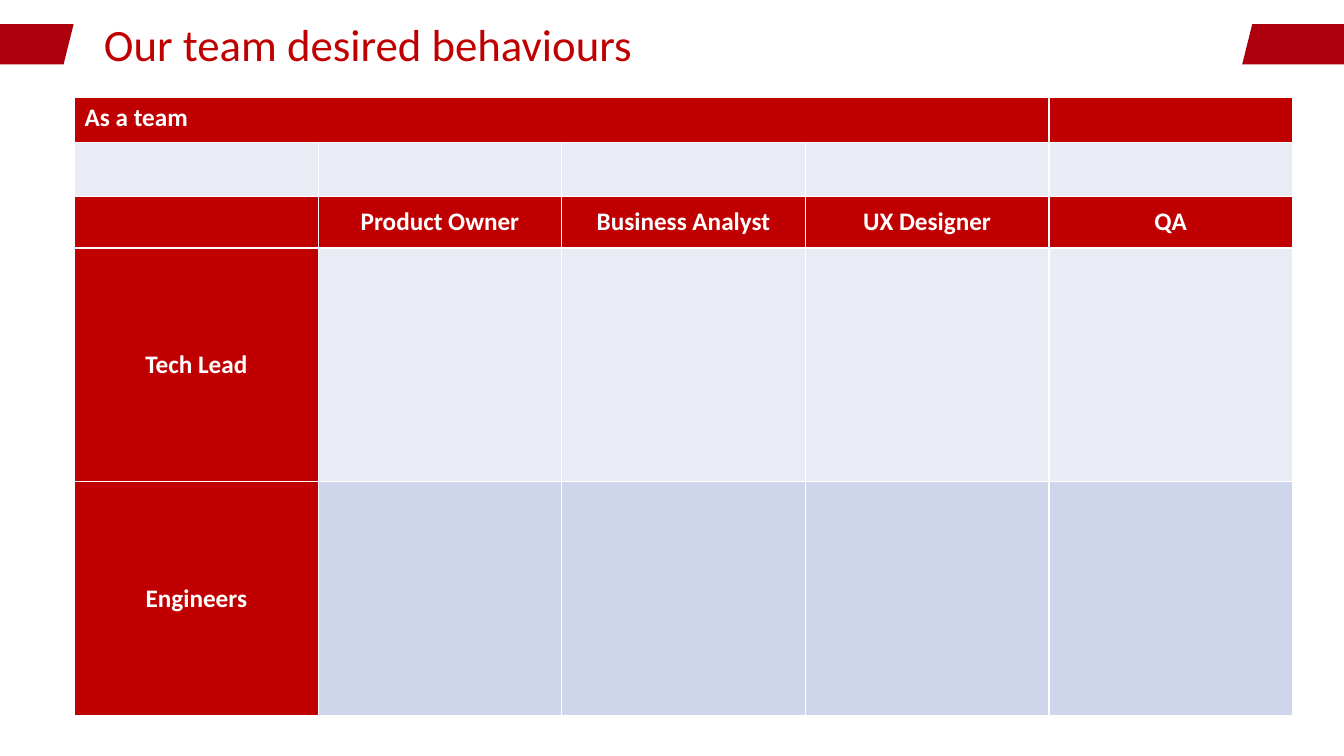
from dataclasses import dataclass
from typing import NamedTuple

from lxml.etree import SubElement
from pptx import Presentation
from pptx.dml.color import RGBColor
from pptx.enum.shapes import MSO_SHAPE
from pptx.enum.text import MSO_ANCHOR, MSO_AUTO_SIZE, PP_ALIGN
from pptx.oxml.ns import qn
from pptx.slide import Slide
from pptx.table import _Cell
from pptx.text.text import TextFrame
from pptx.util import Emu, Pt

PX = 9144  # EMU per px, 100 px to the inch


@dataclass(frozen=True)
class Theme:
    font: str = "Calibri"
    title_size: int = 32
    cell_size: int = 18
    red: str = "C00000"
    dark_red: str = "AD000C"
    white: str = "FFFFFF"
    light_band: str = "E9EBF5"
    dark_band: str = "CFD5EA"


class Box(NamedTuple):
    left: int
    top: int
    width: int
    height: int

    def emu(self) -> list[Emu]:
        return [px(v) for v in self]


class Row(NamedTuple):
    height: int
    labels: tuple[str, ...]
    body: str  # fill of the cells right of the first
    lead: str  # fill of the first cell


THEME = Theme()
SLIDE_WIDTH, SLIDE_HEIGHT = 1333, 750
TITLE = Box(93, 12, 973, 64)
RIBBONS = (Box(1232, 24, 112, 40), Box(-12, 24, 85, 40))
GRID = Box(74, 97, 1208, 613)
COLUMNS = 5
ROWS = (
    Row(44, ("As a team",), THEME.red, THEME.red),
    Row(54, (), THEME.light_band, THEME.light_band),
    Row(51, ("", "Product Owner", "Business Analyst", "UX Designer", "QA"), THEME.red, THEME.red),
    Row(232, ("Tech Lead",), THEME.light_band, THEME.red),
    Row(232, ("Engineers",), THEME.dark_band, THEME.red),
)


def px(value: int) -> Emu:
    return Emu(value * PX)


def rgb(value: str) -> RGBColor:
    return RGBColor.from_string(value)


def write(tf: TextFrame, text: str, size: int, color: str, bold: bool, align: PP_ALIGN) -> None:
    p = tf.paragraphs[0]
    p.alignment = align
    r = p.add_run()
    r.text = text
    r.font.name = THEME.font
    r.font.size = Pt(size)
    r.font.bold = bold
    r.font.color.rgb = rgb(color)


def add_title(s: Slide) -> None:
    sp = s.shapes.title
    sp.left, sp.top, sp.width, sp.height = TITLE.emu()
    tf = sp.text_frame
    tf.word_wrap = True
    tf.auto_size = MSO_AUTO_SIZE.SHAPE_TO_FIT_TEXT
    tf.vertical_anchor = MSO_ANCHOR.TOP
    write(tf, "Our team desired behaviours", THEME.title_size, THEME.red, False, PP_ALIGN.LEFT)


def add_ribbon(s: Slide, box: Box) -> None:
    sp = s.shapes.add_shape(MSO_SHAPE.PARALLELOGRAM, *box.emu())
    sp.shadow.inherit = False
    sp.fill.solid()
    sp.fill.fore_color.rgb = rgb(THEME.dark_red)
    sp.line.fill.background()


def style_cell(cell: _Cell, fill: str) -> None:
    cell.fill.solid()
    cell.fill.fore_color.rgb = rgb(fill)
    props = cell._tc.get_or_add_tcPr()
    for i, side in enumerate(("a:lnL", "a:lnR", "a:lnT", "a:lnB")):
        line = SubElement(props, qn(side), w=str(Pt(1)))
        SubElement(SubElement(line, qn("a:solidFill")), qn("a:srgbClr"), val=THEME.white)
        props.insert(i, line)


def add_grid(s: Slide) -> None:
    table = s.shapes.add_table(len(ROWS), COLUMNS, *GRID.emu()).table
    for column in table.columns:
        column.width = px(GRID.width) // COLUMNS
    for y, row in enumerate(ROWS):
        table.rows[y].height = px(row.height)
        for x in range(COLUMNS):
            style_cell(table.cell(y, x), row.body if x else row.lead)
        for x, label in enumerate(row.labels):
            if not label:
                continue
            cell = table.cell(y, x)
            cell.vertical_anchor = MSO_ANCHOR.MIDDLE if y else MSO_ANCHOR.TOP
            align = PP_ALIGN.CENTER if y else PP_ALIGN.LEFT
            write(cell.text_frame, label, THEME.cell_size, THEME.white, True, align)
    # The team heading spans all columns but the last
    table.cell(0, 0).merge(table.cell(0, COLUMNS - 2))


def main() -> None:
    prs = Presentation()
    prs.slide_width, prs.slide_height = px(SLIDE_WIDTH), px(SLIDE_HEIGHT)
    s = prs.slides.add_slide(prs.slide_layouts.get_by_name("Title Only"))

    # Header
    for box in RIBBONS:
        add_ribbon(s, box)
    add_title(s)

    # Behaviours by role
    add_grid(s)
    prs.save("out.pptx")


if __name__ == "__main__":
    main()
